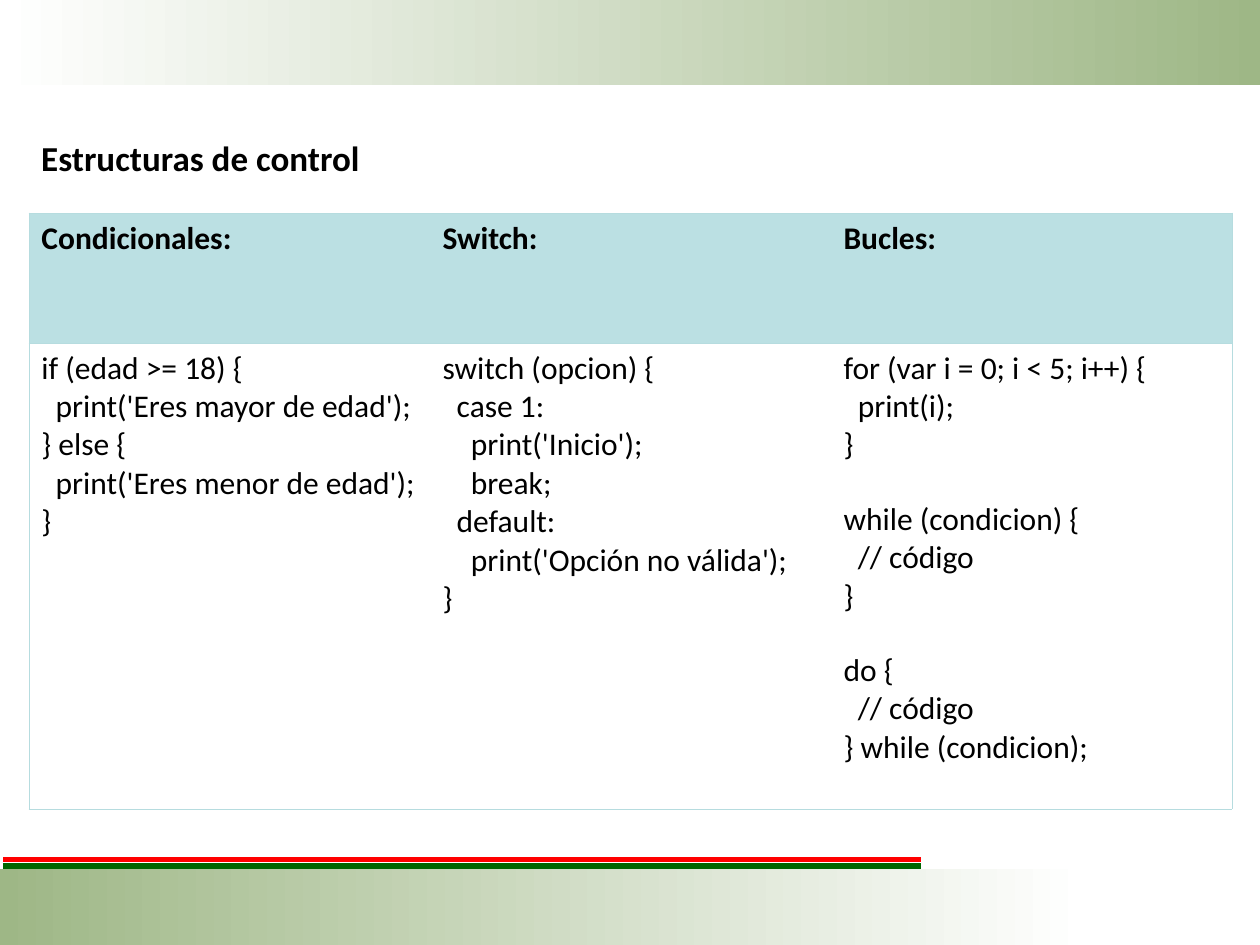
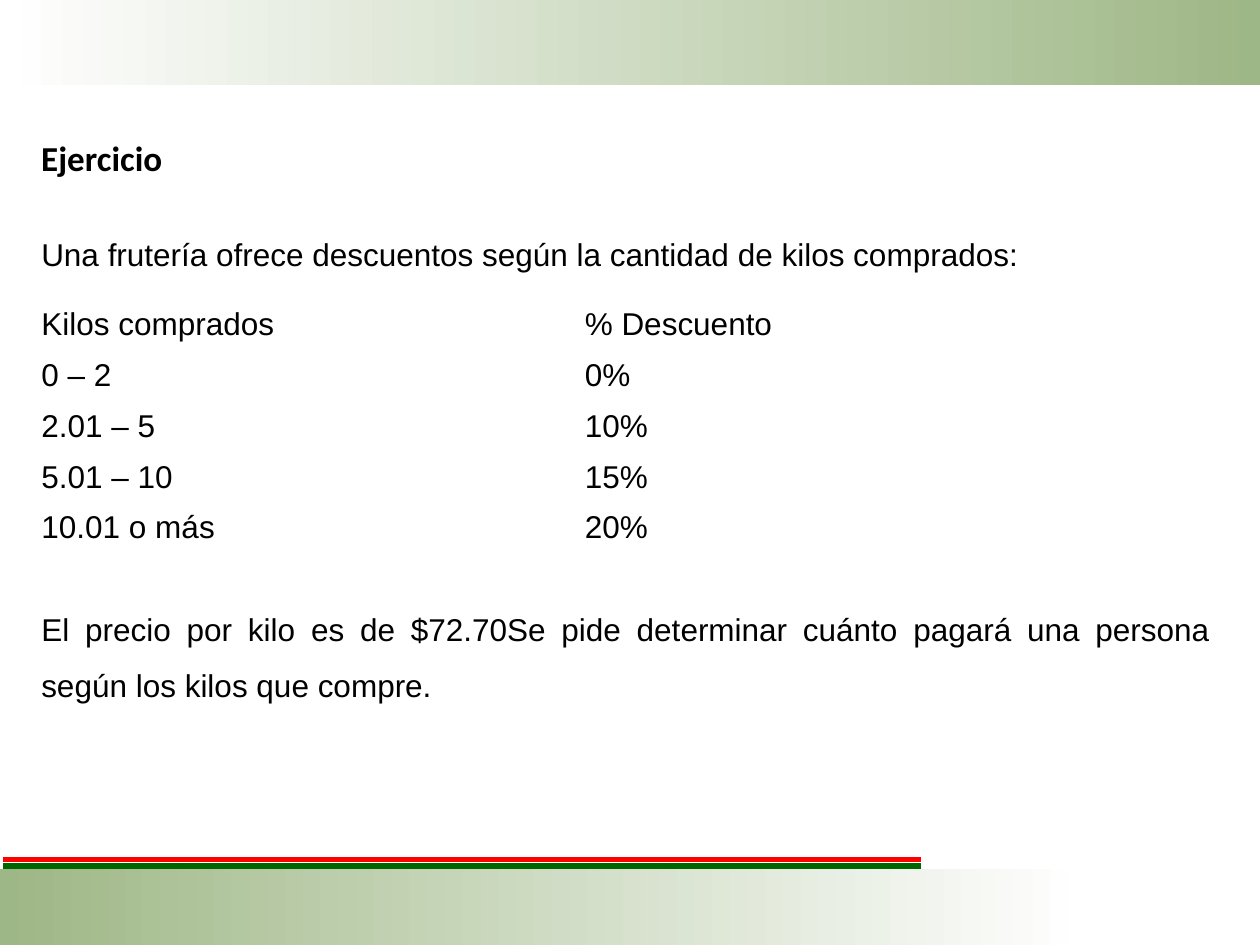
from lxml.etree import SubElement
from pptx import Presentation
from pptx.dml.color import RGBColor
from pptx.enum.shapes import MSO_CONNECTOR, MSO_SHAPE
from pptx.enum.text import MSO_ANCHOR, MSO_AUTO_SIZE, PP_ALIGN
from pptx.oxml import parse_xml
from pptx.oxml.ns import nsdecls, qn
from pptx.util import Pt

BLACK = RGBColor(0x00, 0x00, 0x00)
WHITE = RGBColor(0xFF, 0xFF, 0xFF)
SAGE = RGBColor(0x9E, 0xB7, 0x86)
RED = RGBColor(0xFF, 0x00, 0x00)
GREEN = RGBColor(0x00, 0x66, 0x00)
AQUA = RGBColor(0xBB, 0xE0, 0xE3)
EDGE = RGBColor(0xB6, 0xDC, 0xDF)

WIDE, HIGH = 720, 540
LEFT = 16.5
BODY = 682
SIZE = 18
STEP = 4.05  # indent for one leading space of code
GAP = 20.5   # space in place of an empty line of code
NO_STYLE = "{2D5ABB26-0587-4C30-8999-92F81FD0307C}"

CODE = {
    "Condicionales:": """if (edad >= 18) {
  print('Eres mayor de edad');
} else {
  print('Eres menor de edad');
}""",
    "Switch:": """switch (opcion) {
  case 1:
    print('Inicio');
    break;
  default:
    print('Opción no válida');
}""",
    "Bucles:": """for (var i = 0; i < 5; i++) {
  print(i);
}

while (condicion) {
  // código
}

do {
  // código
} while (condicion);""",
}

INTRO = "Una frutería ofrece descuentos según la cantidad de kilos comprados:"
RATES = [
    ("Kilos comprados", "% Descuento"),
    ("0 – 2", "0%"),
    ("2.01 – 5", "10%"),
    ("5.01 – 10", "15%"),
    ("10.01 o más", "20%"),
]
TASK = ("El precio por kilo es de $72.70Se pide determinar cuánto pagará "
        "una persona según los kilos que compre.")


def style(para, face, size=SIZE, bold=False):
    font = para.font
    font.name, font.size, font.bold = face, Pt(size), bold
    font.color.rgb = BLACK


def add_band(slide, top, width, height, first, last):
    """Add a strip that fades from the first colour to the last."""
    band = slide.shapes.add_shape(
        MSO_SHAPE.RECTANGLE, 0, Pt(top), Pt(width), Pt(height))
    band.shadow.inherit = False
    band.line.fill.background()
    band.fill.gradient()
    band.fill.gradient_angle = 0
    for stop, color in zip(band.fill.gradient_stops, (first, last)):
        stop.color.rgb = color


def add_rule(slide, y, color):
    rule = slide.shapes.add_connector(
        MSO_CONNECTOR.STRAIGHT, Pt(2), Pt(y), Pt(526.3), Pt(y))
    rule.line.color.rgb = color
    rule.line.width = Pt(3)
    SubElement(rule._element.spPr, qn("a:effectLst"))


def add_text(slide, text, top, width, height, face, size=SIZE, bold=False):
    box = slide.shapes.add_textbox(Pt(LEFT), Pt(top), Pt(width), Pt(height))
    frame = box.text_frame
    frame.word_wrap = True
    frame.auto_size = MSO_AUTO_SIZE.SHAPE_TO_FIT_TEXT
    para = frame.paragraphs[0]
    para.text = text
    style(para, face, size, bold)
    return para


def add_slide(deck, title):
    """Add a slide with the shared bands, rules and title."""
    slide = deck.slides.add_slide(deck.slide_layouts[6])
    add_band(slide, 0, WIDE, 48.6, WHITE, SAGE)
    add_band(slide, 496.8, 620.6, 43.2, SAGE, WHITE)
    add_rule(slide, 491.2, RED)
    add_rule(slide, 494.8, GREEN)
    add_text(slide, title, 74.4, 360, 31.5, "Calibri", 20, True)
    return slide


def add_grid(slide, top, width, cols, heights):
    """Add a plain table with equal columns and no fills."""
    frame = slide.shapes.add_table(
        len(heights), cols, Pt(LEFT), Pt(top), Pt(width), Pt(sum(heights)))
    table = frame.table
    table.first_row = table.horz_banding = False
    table._tbl.tblPr.find(qn("a:tableStyleId")).text = NO_STYLE
    for col in table.columns:
        col.width = Pt(width / cols)
    for row, height in zip(table.rows, heights):
        row.height = Pt(height)
    for cell in table.iter_cells():
        cell.fill.background()
    return table


def set_edges(cell, sides):
    props = cell._tc.get_or_add_tcPr()
    for at, side in enumerate(sides):
        props.insert(at, parse_xml(
            f'<a:ln{side} {nsdecls("a")} w="{Pt(0.34)}"><a:solidFill>'
            f'<a:srgbClr val="{EDGE}"/></a:solidFill></a:ln{side}>'))


def write_code(cell, code):
    """Turn leading spaces into indents and empty lines into spacing."""
    frame = cell.text_frame
    para, gap = frame.paragraphs[0], 0
    for line in code.splitlines():
        text = line.lstrip()
        if not text:
            gap = GAP
            continue
        if para.text:
            para = frame.add_paragraph()
        para.text = text
        para.space_before = Pt(gap)
        style(para, "Calibri")
        indent = Pt(STEP * (len(line) - len(text)))
        para._p.get_or_add_pPr().set("marL", str(indent))
        gap = 0


def add_control(deck):
    slide = add_slide(deck, "Estructuras de control")
    last = len(CODE) - 1
    table = add_grid(slide, 121.7, 687.6, len(CODE), (74.2, 266.4))
    for col, (name, code) in enumerate(CODE.items()):
        head, body = table.cell(0, col), table.cell(1, col)
        head.text = name
        style(head.text_frame.paragraphs[0], "Calibri", bold=True)
        head.fill.solid()
        head.fill.fore_color.rgb = AQUA
        write_code(body, code)
        sides = "L" * (col == 0) + "R" * (col == last) + "TB"
        for cell in (head, body):
            set_edges(cell, sides)


def add_task(deck):
    slide = add_slide(deck, "Ejercicio")
    add_text(slide, INTRO, 131, BODY, 29, "Arial")
    table = add_grid(slide, 171.2, 621, 2, [29] * len(RATES))
    for row, rate in enumerate(RATES):
        for col, text in enumerate(rate):
            cell = table.cell(row, col)
            cell.text = text
            cell.vertical_anchor = MSO_ANCHOR.MIDDLE
            style(cell.text_frame.paragraphs[0], "Arial")
    para = add_text(slide, TASK, 334, BODY, 72, "Arial")
    para.alignment = PP_ALIGN.JUSTIFY
    para.line_spacing = 1.5


def main():
    deck = Presentation()
    deck.slide_width, deck.slide_height = Pt(WIDE), Pt(HIGH)
    add_control(deck)
    add_task(deck)
    deck.save("out.pptx")


if __name__ == "__main__":
    main()
